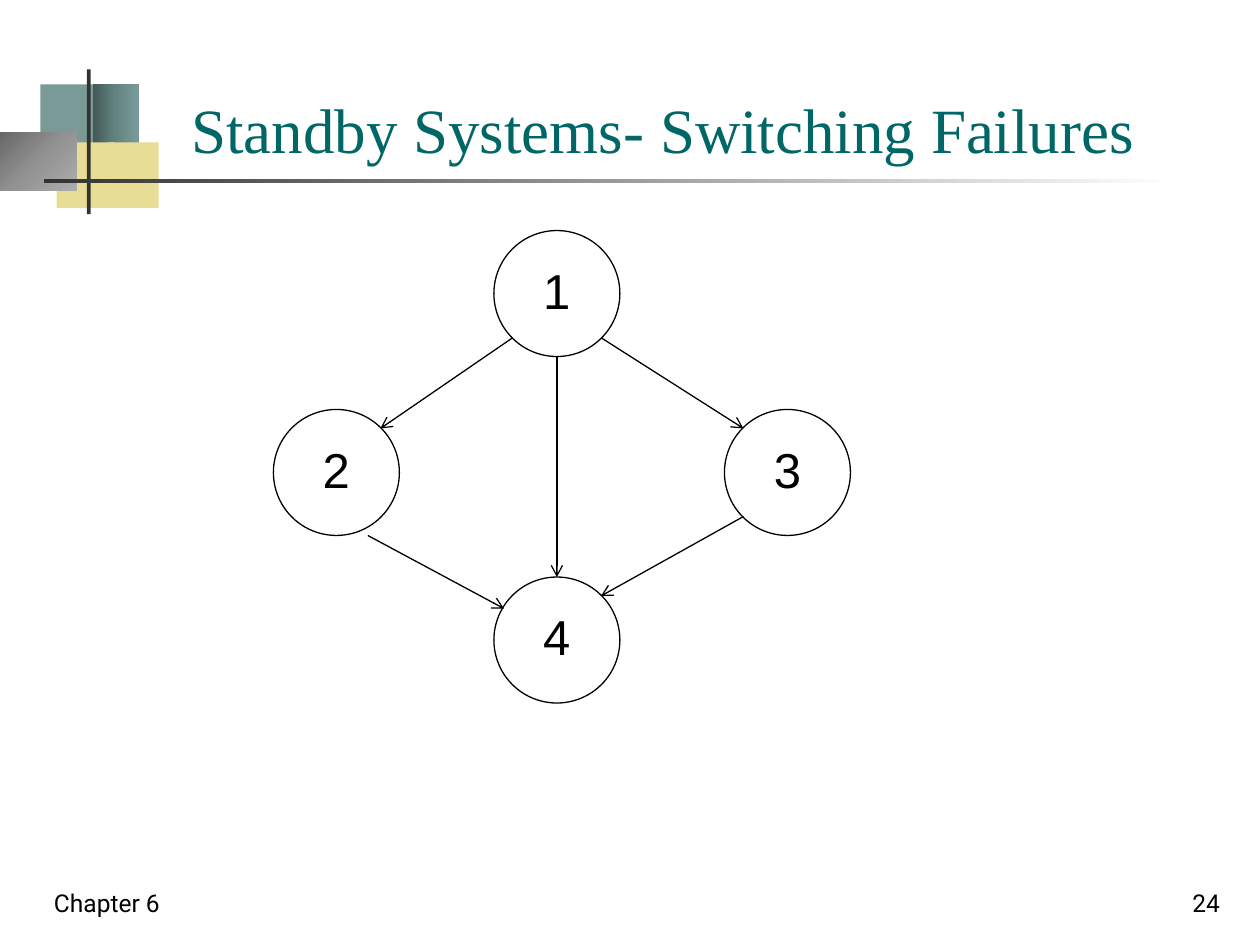
from lxml.etree import SubElement
from pptx import Presentation
from pptx.dml.color import RGBColor
from pptx.enum.shapes import MSO_CONNECTOR, MSO_SHAPE
from pptx.enum.text import MSO_ANCHOR, PP_ALIGN
from pptx.oxml.ns import qn
from pptx.util import Inches, Pt

COLORS = {
    "black": "000000",
    "title": "006666",
    "teal": "7A9A98",
    "sand": "E7DD95",
    "bar": "333333",
}
TEAL_FADE = [(0, "435958"), (50, "638381"), (100, "789C9A")]
GRAY_FADE = [(0, "676767"), (50, "929292"), (100, "ADADAD")]
RULE_FADE = [(0, "333333"), (100, "FFFFFF")]

DIAMETER = 1
DIAGONAL = 0.35
NODES = {"1": (4.42, 2.33), "2": (2.67, 3.75), "3": (6.25, 3.75), "4": (4.42, 5.08)}
ARROWS = [
    ("1", (-DIAGONAL, DIAGONAL), "2", (DIAGONAL, -DIAGONAL)),
    ("1", (DIAGONAL, DIAGONAL), "3", (-DIAGONAL, -DIAGONAL)),
    ("2", (0.25, 0.5), "4", (-0.42, -0.25)),
    ("3", (-DIAGONAL, DIAGONAL), "4", (DIAGONAL, -DIAGONAL)),
    ("1", (0, 0.5), "4", (0, -0.5)),
]


class SlideBuilder:
    def __init__(self, slide):
        self.slide = slide
        self.line_width = Pt(0.75)

    def color(self, name):
        return RGBColor.from_string(COLORS[name])

    def shape(self, preset, left, top, width, height):
        shape = self.slide.shapes.add_shape(
            preset, Inches(left), Inches(top), Inches(width), Inches(height))
        shape.shadow.inherit = False
        return shape

    def block(self, left, top, width, height, color):
        block = self.shape(MSO_SHAPE.RECTANGLE, left, top, width, height)
        block.fill.solid()
        block.fill.fore_color.rgb = self.color(color)
        block.line.fill.background()

    def fade(self, left, top, width, height, stops, angle=0):
        fade = self.shape(MSO_SHAPE.RECTANGLE, left, top, width, height)
        fade.fill.gradient()
        fade.fill.gradient_angle = angle
        fade.line.fill.background()
        stop_list = fade.element.spPr.find(qn("a:gradFill")).find(qn("a:gsLst"))
        for default_stop in list(stop_list):
            stop_list.remove(default_stop)
        for position, color in stops:
            stop = SubElement(stop_list, qn("a:gs"), pos=str(position * 1000))
            SubElement(stop, qn("a:srgbClr"), val=color)

    def add_text_run(self, paragraph, text, size, font, color, align):
        paragraph.alignment = align
        run = paragraph.add_run()
        run.text = text
        run.font.size = Pt(size)
        run.font.name = font
        run.font.color.rgb = self.color(color)

    def text(self, left, top, width, height, text, size, font, color="black",
             anchor=MSO_ANCHOR.TOP, align=PP_ALIGN.LEFT):
        box = self.slide.shapes.add_textbox(
            Inches(left), Inches(top), Inches(width), Inches(height))
        frame = box.text_frame
        frame.word_wrap = True
        frame.vertical_anchor = anchor
        self.add_text_run(frame.paragraphs[0], text, size, font, color, align)

    def node(self, label, center):
        x, y = center
        circle = self.shape(MSO_SHAPE.OVAL, x - DIAMETER / 2, y - DIAMETER / 2,
                            DIAMETER, DIAMETER)
        circle.fill.background()
        circle.line.color.rgb = self.color("black")
        circle.line.width = self.line_width
        frame = circle.text_frame
        frame.vertical_anchor = MSO_ANCHOR.TOP
        frame.margin_top = Inches(0.09)
        self.add_text_run(frame.paragraphs[0], label, 28, "Arial", "black",
                          PP_ALIGN.CENTER)

    def arrow(self, start, end):
        arrow = self.slide.shapes.add_connector(
            MSO_CONNECTOR.STRAIGHT, *(Inches(value) for value in (*start, *end)))
        arrow.line.color.rgb = self.color("black")
        arrow.line.width = self.line_width
        properties = arrow.element.spPr
        SubElement(properties.find(qn("a:ln")), qn("a:tailEnd"), type="arrow")
        SubElement(properties, qn("a:effectLst"))


def shifted(point, offset):
    return point[0] + offset[0], point[1] + offset[1]


def main():
    presentation = Presentation()
    presentation.slide_width = Inches(10)
    presentation.slide_height = Inches(7.5)
    builder = SlideBuilder(presentation.slides.add_slide(presentation.slide_layouts[6]))

    builder.block(0.32, 0.67, 0.48, 0.52, "teal")
    builder.fade(0.74, 0.67, 0.36, 0.52, TEAL_FADE)
    builder.block(0.45, 1.13, 0.46, 0.52, "sand")
    builder.block(0.86, 1.13, 0.4, 0.52, "sand")
    builder.fade(0, 1.05, 0.61, 0.46, GRAY_FADE, angle=315)
    builder.block(0.69, 0.55, 0.03, 1.15, "bar")
    builder.fade(0.35, 1.42, 9, 0.03, RULE_FADE)

    builder.text(0.33, 6.83, 2.08, 0.5, "Chapter 6", 14, "Roboto",
                 anchor=MSO_ANCHOR.BOTTOM)
    builder.text(7.7, 6.83, 2.08, 0.5, "24", 14, "Roboto",
                 anchor=MSO_ANCHOR.BOTTOM, align=PP_ALIGN.RIGHT)
    builder.text(1.42, 0.67, 8, 0.71, "Standby Systems- Switching Failures", 36,
                 "Times New Roman", "title")

    for label, center in NODES.items():
        builder.node(label, center)
    for source, source_offset, target, target_offset in ARROWS:
        builder.arrow(shifted(NODES[source], source_offset),
                      shifted(NODES[target], target_offset))

    presentation.save("out.pptx")


if __name__ == "__main__":
    main()
